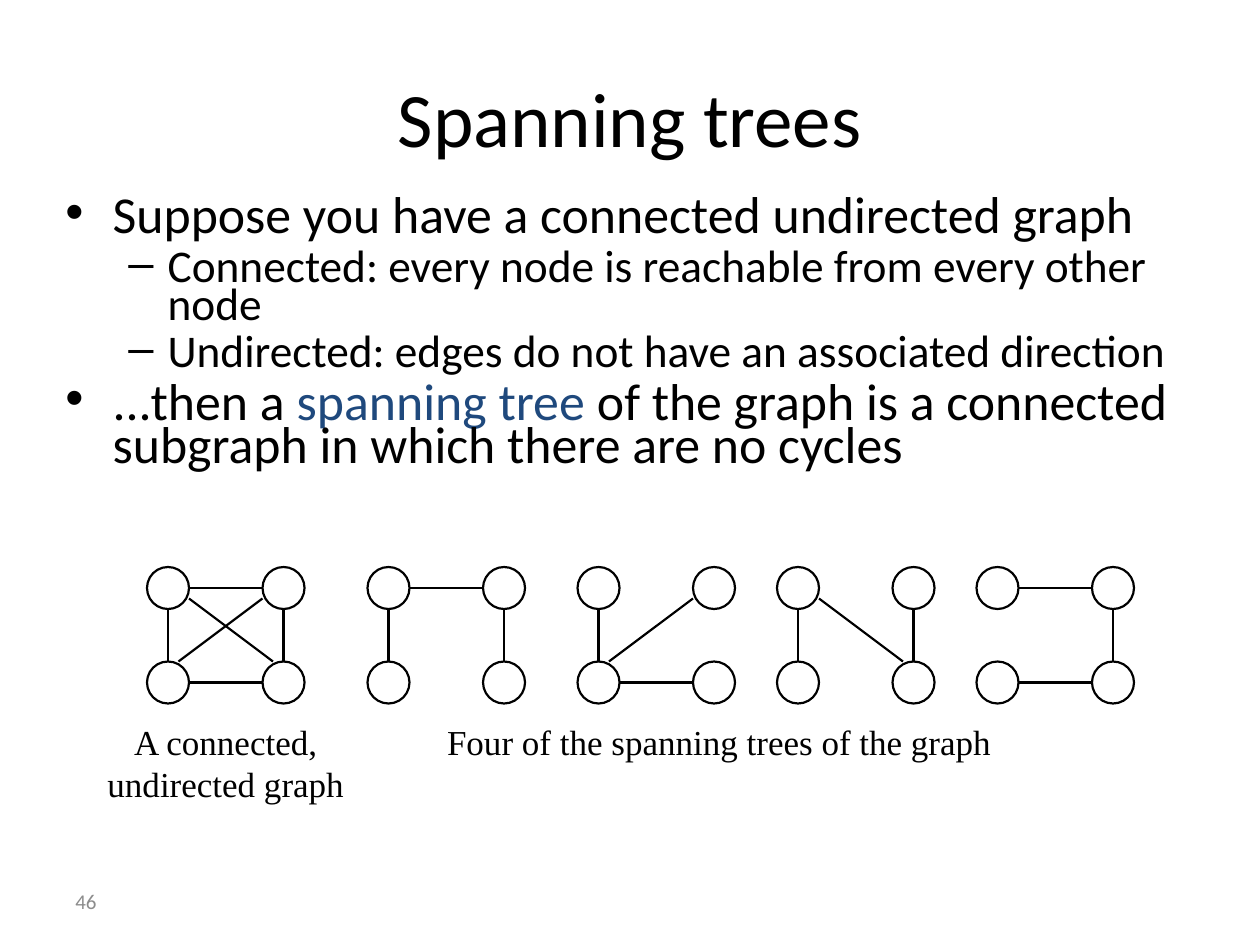
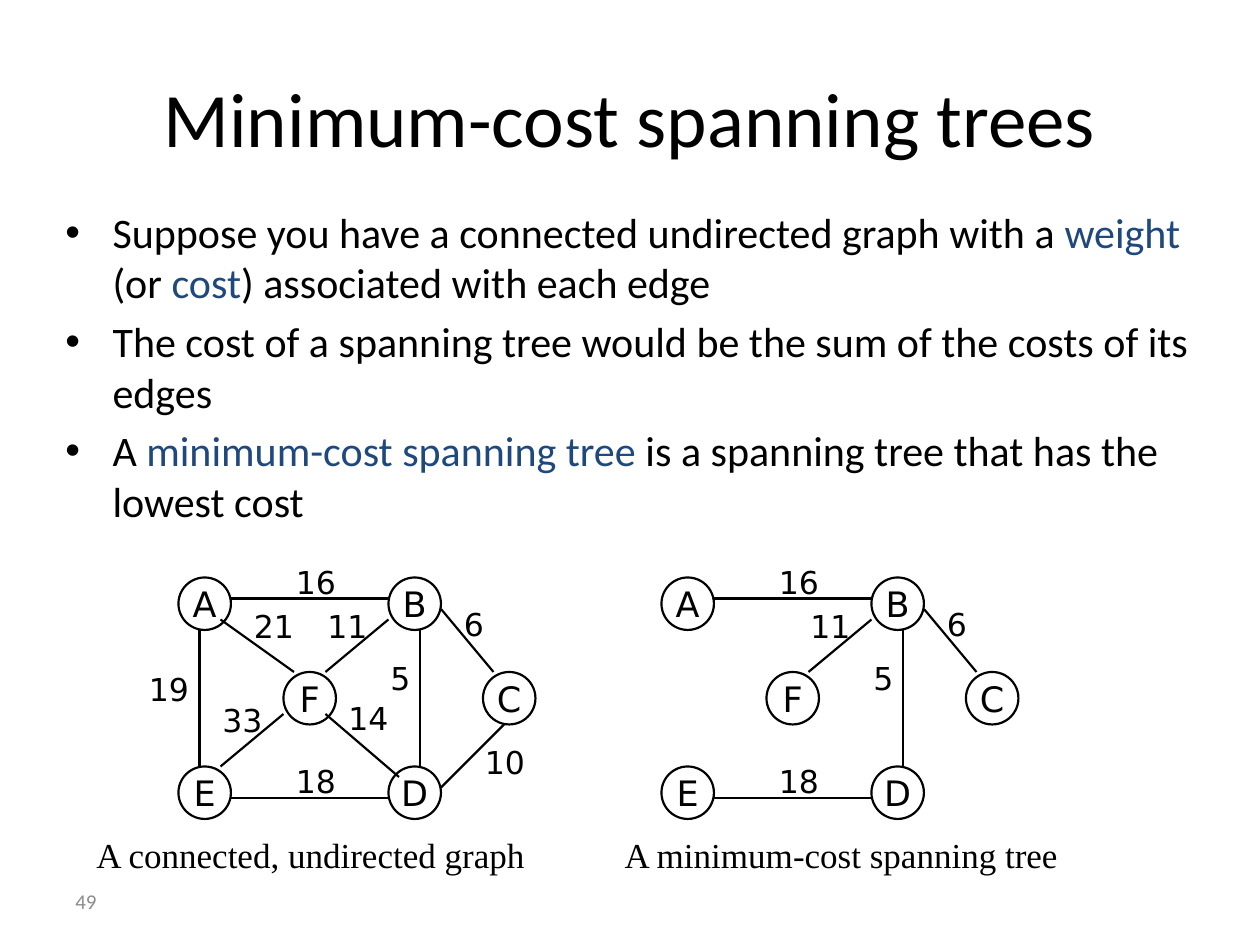
import pptx
import pptx.util
import pptx.dml.color
import pptx.enum.shapes
import pptx.enum.text
import lxml.etree
from pptx.oxml.ns import qn

Cm, Pt = pptx.util.Cm, pptx.util.Pt
ALIGN = pptx.enum.text.PP_ALIGN
MIDDLE = pptx.enum.text.MSO_ANCHOR.MIDDLE

COLORS = {"ink": "000000", "accent": "1F497D", "muted": "8C8C8C"}
HEADING, CAPTION, LABEL = "Calibri", "Times New Roman", "DejaVu Sans"
GRID = 2.54 / 12  # graph coordinates count twelfths of an inch

# Body paragraphs: (level, pieces); every second piece is a highlighted term.
SPANNING = {
    "title": "Spanning trees",
    "number": "46",
    "body": [
        (0, ["Suppose you have a connected undirected graph"]),
        (1, ["Connected: every node is reachable from every other node"]),
        (1, ["Undirected: edges do not have an associated direction"]),
        (0, ["...then a ", "spanning tree",
             " of the graph is a connected subgraph in which there are no cycles"]),
    ],
    "body_top": 3.89, "body_height": 6.17, "sizes": (29.6, 25.9), "line_spacing": 0.7,
    "captions": [("A connected,\vundirected graph", 8, 68, 27, ALIGN.CENTER),
                 ("Four of the spanning trees of the graph", 35, 68, 67, ALIGN.CENTER)],
}
MINIMUM = {
    "title": "Minimum-cost spanning trees",
    "number": "49",
    "body": [
        (0, ["Suppose you have a connected undirected graph with a ", "weight",
             " (or ", "cost", ") associated with each edge"]),
        (0, ["The cost of a spanning tree would be the sum of the costs of its edges"]),
        (0, ["A ", "minimum-cost spanning tree",
             " is a spanning tree that has the lowest cost"]),
    ],
    "body_top": 4.04, "body_height": 6.93, "sizes": (24,), "line_spacing": 1.0,
    "captions": [("A connected, undirected graph", 8, 78.8, 45, ALIGN.LEFT),
                 ("A minimum-cost spanning tree", 58.3, 78.8, 45, ALIGN.LEFT)],
}

SQUARE_TOP = 54
SQUARE_NODES = [(0, 0), (0, 9), (11, 9), (11, 0)]
SQUARE_EDGES = {
    "left": (2, 4, 2, 9), "right": (13, 4, 13, 9),
    "top": (4, 2, 11, 2), "bottom": (4, 11, 11, 11),
    "rising": (3, 9, 11, 3), "falling": (4, 3, 12, 9),
}
SQUARE_GRAPHS = [  # left, edges
    (14, list(SQUARE_EDGES)),
    (35, ["left", "right", "top"]),
    (55, ["left", "bottom", "rising"]),
    (74, ["left", "right", "falling"]),
    (93, ["right", "top", "bottom"]),
]

WEIGHTED_TOP = 55
WEIGHTED_NODES = {"A": (0, 0), "B": (20, 0), "E": (0, 18),
                  "D": (20, 18), "F": (10, 9), "C": (29, 9)}
WEIGHTED_EDGES = {  # line ends, weight, place of the weight
    "AE": ((2, 5, 2, 18), "19", (-4, 8.25)),
    "AB": ((5, 2, 20, 2), "16", (10, -2)),
    "BD": ((23, 5, 23, 18), "5", (19, 7.2)),
    "ED": ((5, 21, 20, 21), "18", (10, 17)),
    "EF": ((4, 18, 10, 13), "33", (3, 11.2)),
    "DF": ((21, 19, 14, 13), "14", (15, 11)),
    "AF": ((4, 4, 11, 9), "21", (6, 2.2)),
    "BF": ((20, 4, 14, 9), "11", (13, 2.2)),
    "CD": ((25, 20, 31, 14), "10", (28, 15.2)),
    "BC": ((25, 3, 30, 9), "6", (26, 2)),
}
WEIGHTED_GRAPHS = [(17, list(WEIGHTED_EDGES)), (63, ["AB", "BD", "ED", "BF", "BC"])]


def rgb(name):
    return pptx.dml.color.RGBColor.from_string(COLORS[name])


def on_grid(*values):
    return [Cm(value * GRID) for value in values]


def style(font, size, face, color="ink"):
    font.size, font.name = Pt(size), face
    font.color.rgb = rgb(color)


def write(box, text, size, face, align, color="ink"):
    para = box.text_frame.paragraphs[0]
    para.text = text
    para.alignment = align
    for span in para.runs:
        style(span.font, size, face, color)


def add_text(shapes, text, place, size, face, align=ALIGN.LEFT, color="ink"):
    box = shapes.add_textbox(*place)
    box.text_frame.word_wrap = True
    write(box, text, size, face, align, color)
    return box


def add_bullet(para, level):
    indent, hang, mark = [(0.95, 0.95, "•"), (2.06, 0.79, "–")][level]
    properties = para._p.get_or_add_pPr()
    properties.set("marL", str(Cm(indent)))
    properties.set("indent", str(-Cm(hang)))
    lxml.etree.SubElement(properties, qn("a:buFont")).set("typeface", "Arial")
    lxml.etree.SubElement(properties, qn("a:buChar")).set("char", mark)


def add_body(page, content):
    box = page.shapes.add_textbox(Cm(1.07), Cm(content["body_top"]),
                                  Cm(23.83), Cm(content["body_height"]))
    frame = box.text_frame
    frame.word_wrap = True
    for index, (level, pieces) in enumerate(content["body"]):
        para = frame.add_paragraph() if index else frame.paragraphs[0]
        size = content["sizes"][level]
        para.level = level
        add_bullet(para, level)
        para.line_spacing = content["line_spacing"]
        if index:
            para.space_before = Pt(size * 0.2)
        for position, piece in enumerate(pieces):
            span = para.add_run()
            span.text = piece
            style(span.font, size, HEADING, "accent" if position % 2 else "ink")


def add_node(shapes, left, top, size, name=""):
    node = shapes.add_shape(pptx.enum.shapes.MSO_SHAPE.OVAL, *on_grid(left, top, size, size))
    node.shadow.inherit = False
    node.fill.background()
    node.line.color.rgb = rgb("ink")
    node.line.width = Pt(1.25)
    if name:
        node.text_frame.word_wrap = False
        node.text_frame.vertical_anchor = MIDDLE
        write(node, name, 20, LABEL, ALIGN.CENTER)


def add_edge(shapes, left, top, ends):
    x1, y1, x2, y2 = ends
    edge = shapes.add_connector(pptx.enum.shapes.MSO_CONNECTOR.STRAIGHT,
                                *on_grid(left + x1, top + y1, left + x2, top + y2))
    edge.line.color.rgb = rgb("ink")
    edge.line.width = Pt(1.25)
    lxml.etree.SubElement(edge._element.spPr, qn("a:effectLst"))


def add_square_graph(page, left, edges):
    shapes = page.shapes.add_group_shape().shapes
    for x, y in SQUARE_NODES:
        add_node(shapes, left + x, SQUARE_TOP + y, 4)
    for side in edges:
        add_edge(shapes, left, SQUARE_TOP, SQUARE_EDGES[side])


def add_weighted_graph(page, left, edges):
    shapes = page.shapes.add_group_shape().shapes
    for name, (x, y) in WEIGHTED_NODES.items():
        add_node(shapes, left + x, WEIGHTED_TOP + y, 5, name)
    for pair in edges:
        ends, weight, (x, y) = WEIGHTED_EDGES[pair]
        add_edge(shapes, left, WEIGHTED_TOP, ends)
        add_text(shapes, weight, on_grid(left + x, WEIGHTED_TOP + y, 7, 4.8), 18, LABEL)


def add_page(deck, content):
    """Add a slide with its title, number, body text and captions."""
    page = deck.slides.add_slide(deck.slide_layouts[5])
    title = page.shapes.title
    title.left, title.top, title.width, title.height = Cm(1.27), Cm(0.76), Cm(22.86), Cm(3.18)
    title.text_frame.vertical_anchor = MIDDLE
    write(title, content["title"], 44, HEADING, ALIGN.CENTER)
    number = add_text(page.shapes, content["number"],
                      (Cm(1.27), Cm(17.65), Cm(5.92), Cm(1.02)), 12, HEADING, color="muted")
    number.text_frame.vertical_anchor = MIDDLE
    add_body(page, content)
    for text, left, top, width, align in content["captions"]:
        add_text(page.shapes, text, on_grid(left, top, width, 5.2), 20, CAPTION, align)
    return page


def main():
    deck = pptx.Presentation()
    deck.slide_width, deck.slide_height = Cm(25.4), Cm(19.05)
    page = add_page(deck, SPANNING)
    for left, edges in SQUARE_GRAPHS:
        add_square_graph(page, left, edges)
    page = add_page(deck, MINIMUM)
    for left, edges in WEIGHTED_GRAPHS:
        add_weighted_graph(page, left, edges)
    deck.save("out.pptx")


if __name__ == "__main__":
    main()
